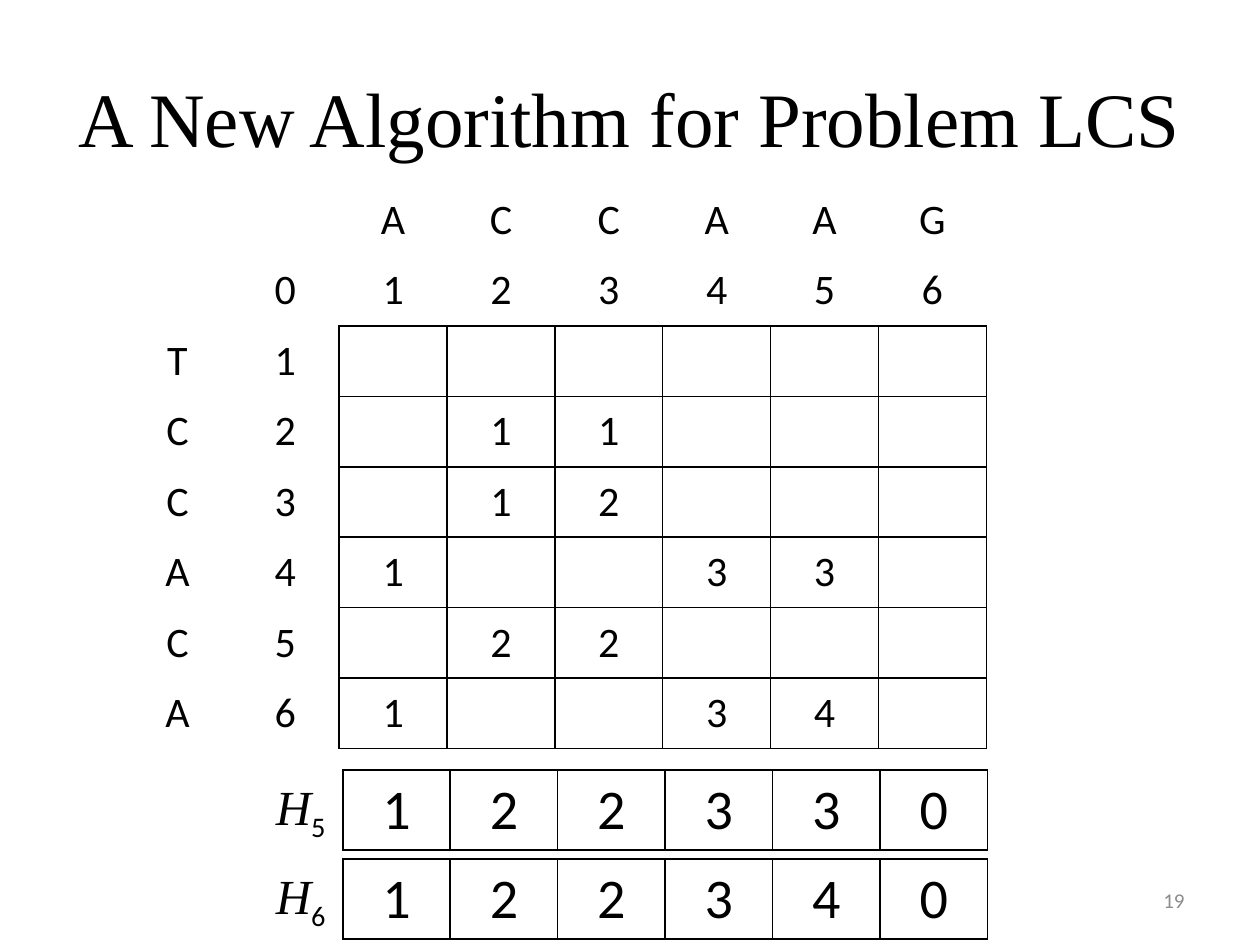
from dataclasses import dataclass

from lxml.etree import SubElement
from pptx import Presentation
from pptx.dml.color import RGBColor
from pptx.enum.text import MSO_ANCHOR as Anchor, MSO_AUTO_SIZE as AutoSize, PP_ALIGN as Align
from pptx.oxml.ns import qn
from pptx.util import Cm, Pt


@dataclass(frozen=True)
class Theme:
    serif: str = "Times New Roman"
    sans: str = "Calibri"
    ink: str = "000000"
    muted: str = "8C8C8C"
    title: int = 44
    history: int = 32
    label: int = 28
    matrix: int = 24
    number: int = 12
    rule: int = 1


THEME = Theme()
TITLE = "A New Algorithm for Problem LCS"
PAGE = "19"
ACROSS = "ACCAAG"
DOWN = "TCCACA"
MATCHES = [
    ["", "", "", "", "", ""],
    ["", "1", "1", "", "", ""],
    ["", "1", "2", "", "", ""],
    ["1", "", "", "3", "3", ""],
    ["", "2", "2", "", "", ""],
    ["1", "", "", "3", "4", ""],
]
HISTORIES = [("5", "122330"), ("6", "122340")]
EDGES = [("a:lnL", 0, -1), ("a:lnR", 0, 1), ("a:lnT", -1, 0), ("a:lnB", 1, 0)]


def add_run(paragraph, text, size, font=THEME.sans, color=THEME.ink):
    run = paragraph.add_run()
    run.text = text
    run.font.size = Pt(size)
    run.font.name = font
    run.font.color.rgb = RGBColor.from_string(color)
    return run


def draw_edge(cell, tag, visible):
    edge = SubElement(cell._tc.get_or_add_tcPr(), qn(tag), w=str(Pt(THEME.rule)))
    if visible:
        ink = SubElement(edge, qn("a:solidFill"))
        SubElement(ink, qn("a:srgbClr"), val=THEME.ink)
    else:
        SubElement(edge, qn("a:noFill"))


def add_grid(slide, rows, left, top, width, height, size, head=0):
    grid = slide.shapes.add_table(
        len(rows), len(rows[0]), Cm(left), Cm(top), Cm(width), Cm(height)
    ).table
    grid.first_row = grid.horz_banding = False
    for r, values in enumerate(rows):
        for c, value in enumerate(values):
            cell = grid.cell(r, c)
            cell.vertical_anchor = Anchor.MIDDLE
            for tag, dr, dc in EDGES:
                inside = min(r, c) >= head or min(r + dr, c + dc) >= head
                draw_edge(cell, tag, inside)
            cell.fill.background()
            if value:
                entry = cell.text_frame.paragraphs[0]
                entry.alignment = Align.CENTER
                add_run(entry, value, size)


def add_label(slide, index, left, top):
    frame = slide.shapes.add_textbox(Cm(left), Cm(top), Cm(1.57), Cm(1.45)).text_frame
    frame.word_wrap = False
    frame.auto_size = AutoSize.SHAPE_TO_FIT_TEXT
    name = frame.paragraphs[0]
    add_run(name, "H", THEME.label, THEME.serif).font.italic = True
    subscript = add_run(name, index, THEME.label)
    subscript._r.get_or_add_rPr().set("baseline", "-25000")


def main():
    deck = Presentation()
    deck.slide_width, deck.slide_height = Cm(25.4), Cm(19.05)
    slide = deck.slides.add_slide(deck.slide_layouts[5])

    title = slide.shapes.title
    title.left, title.top, title.width, title.height = Cm(1.27), Cm(0.76), Cm(22.86), Cm(3.18)
    title.text_frame.vertical_anchor = Anchor.MIDDLE
    heading = title.text_frame.paragraphs[0]
    heading.alignment = Align.CENTER
    add_run(heading, TITLE, THEME.title, THEME.serif)

    footer = slide.shapes.add_textbox(Cm(18.2), Cm(17.65), Cm(5.93), Cm(1.01)).text_frame
    footer.word_wrap = True
    footer.vertical_anchor = Anchor.MIDDLE
    footer.paragraphs[0].alignment = Align.RIGHT
    add_run(footer.paragraphs[0], PAGE, THEME.number, color=THEME.muted)

    matrix = [["", "", *ACROSS], ["", *map(str, range(len(ACROSS) + 1))]]
    for number, (letter, scores) in enumerate(zip(DOWN, MATCHES), 1):
        matrix.append([letter, str(number), *scores])
    add_grid(slide, matrix, 2.49, 3.73, 17.4, 11.36, THEME.matrix, head=2)

    for position, (index, scores) in enumerate(HISTORIES):
        top = 15.52 + 1.8 * position
        add_grid(slide, [scores], 6.91, top, 13, 1.6, THEME.history)
        add_label(slide, index, 5.31, top)

    deck.save("out.pptx")


if __name__ == "__main__":
    main()
